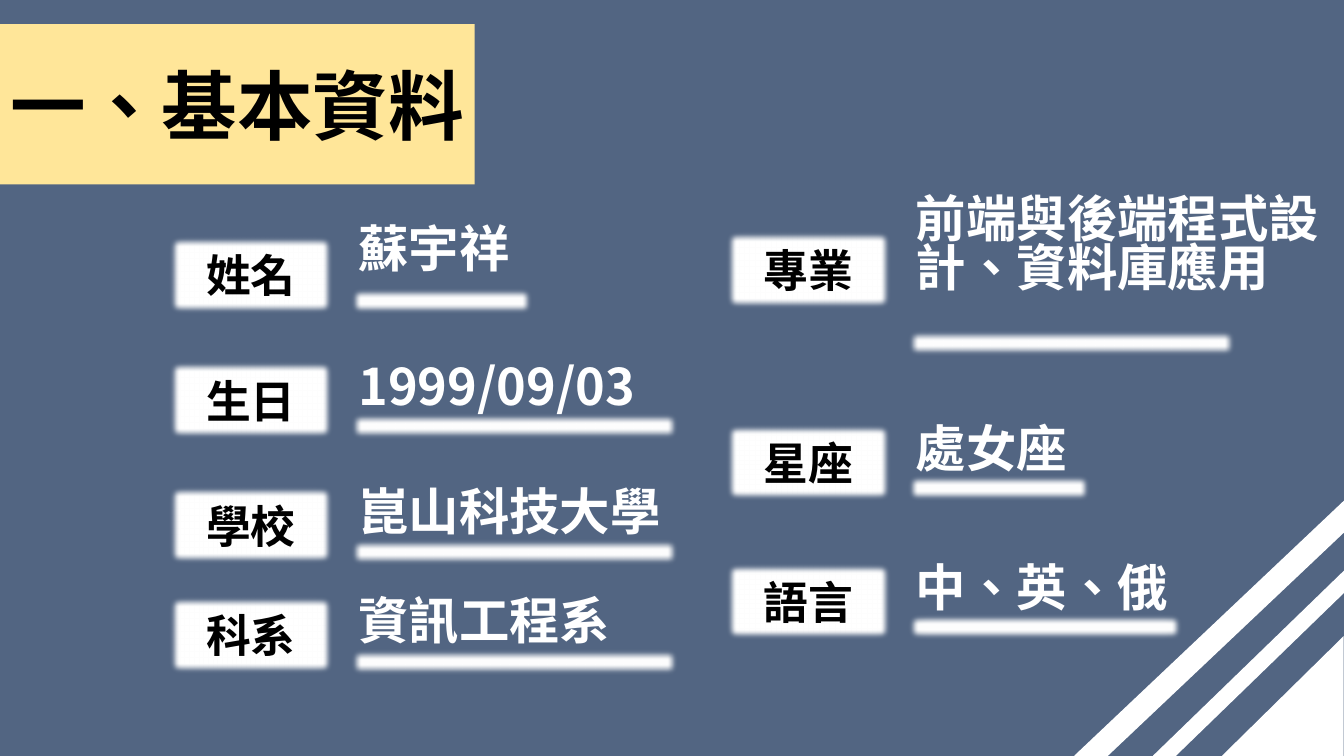
"""Build the basic profile slide with labelled, underlined entries."""
from dataclasses import dataclass

from lxml import etree
from pptx import Presentation
from pptx.dml.color import RGBColor
from pptx.enum.lang import MSO_LANGUAGE_ID
from pptx.enum.shapes import MSO_SHAPE
from pptx.enum.text import MSO_ANCHOR, PP_ALIGN
from pptx.oxml.ns import qn
from pptx.util import Pt

RECT, TRIANGLE = MSO_SHAPE.RECTANGLE, MSO_SHAPE.RIGHT_TRIANGLE
LEFT, CENTER = PP_ALIGN.LEFT, PP_ALIGN.CENTER
TOP, MIDDLE = MSO_ANCHOR.TOP, MSO_ANCHOR.MIDDLE
CHINESE = MSO_LANGUAGE_ID.TRADITIONAL_CHINESE

TITLE = "一、基本資料"
# label, value, label top, value box (top, width, height), line (top, width), spacing
COLUMNS = [
    {"left": 118.8, "entries": [
        ("姓名", "蘇宇祥", 167, (156.2, 127.4, 47.5), (203.8, 133.2), 0.9),
        ("生日", "1999/09/03", 256.3, (245.5, 267.8, 47.5), (293, 236.9), 1.1),
        ("學校", "崑山科技大學", 345.6, (334.8, 267.8, 47.5), (383, 236.9), 1.1),
        ("科系", "資訊工程系", 424.1, (413.3, 267.8, 47.5), (461.5, 236.9), 1.1),
    ]},
    {"left": 517, "entries": [
        ("專業", "前端與後端程式設計、資料庫應用", 163.4, (137.5, 307.4, 89.3), (234, 236.9), 0.82),
        ("星座", "處女座", 301, (290.2, 128.9, 47.5), (337.7, 133.2), 1.1),
        ("語言", "中、英、俄", 400.3, (389.5, 209.5, 47.5), (437, 198.7), 1.1),
    ]},
]
STRIPES = [
    (RECT, (799.2, 468, 201.6, 11.5), 315.9),
    (RECT, (736.6, 445.7, 267.1, 16.6), 316.6),
    (TRIANGLE, (873.4, 453.6, 85.7, 87.1), 270),
]
BANNER = (0, 17.3, 339.1, 114.5)
LABEL_SIZE = (121, 59)
VALUE_OFFSET, LINE_HEIGHT, SOFT_RADIUS = 130.1, 22.3, 5


@dataclass(frozen=True)
class Theme:
    """Colours, fonts and type sizes."""
    back: RGBColor = RGBColor(0x52, 0x65, 0x82)
    banner: RGBColor = RGBColor(0xFF, 0xE6, 0x99)
    light: RGBColor = RGBColor(0xFF, 0xFF, 0xFF)
    dark: RGBColor = RGBColor(0, 0, 0)
    title_font: str = "Calibri"
    font: str = "Noto Sans CJK SC"
    title: int = 54
    label: int = 32
    value: int = 36


THEME = Theme()


def write(sp, text, *, size, color, font=THEME.font, align=LEFT, anchor=TOP, spacing=1.0):
    """Put one bold run of formatted text in a shape."""
    tf = sp.text_frame
    tf.word_wrap = True
    tf.vertical_anchor = anchor
    p = tf.paragraphs[0]
    p.alignment = align
    p.line_spacing = spacing
    r = p.add_run()
    r.text = text
    r.font.name, r.font.size, r.font.bold = font, Pt(size), True
    r.font.color.rgb = color
    r.font.language_id = CHINESE
    r.font._element.find(qn("a:latin")).addnext(
        etree.Element(qn("a:ea"), typeface=THEME.font))


def add_block(s, kind, box, rotation=0, soft=False):
    """Add a plain light shape, optionally with soft edges."""
    sp = s.shapes.add_shape(kind, *map(Pt, box))
    sp.rotation = rotation
    sp.fill.solid()
    sp.fill.fore_color.rgb = THEME.light
    sp.line.fill.background()
    sp.shadow.inherit = False
    if soft:
        effects = sp._element.spPr.find(qn("a:effectLst"))
        etree.SubElement(effects, qn("a:softEdge"), rad=str(Pt(SOFT_RADIUS)))
    return sp


def add_title(s):
    """Place the title banner."""
    sp = s.shapes.title
    sp.left, sp.top, sp.width, sp.height = map(Pt, BANNER)
    sp.fill.solid()
    sp.fill.fore_color.rgb = THEME.banner
    write(sp, TITLE, size=THEME.title, color=THEME.dark, font=THEME.title_font,
          align=CENTER, anchor=MIDDLE)


def add_entry(s, left, entry):
    """Add a label, its underline and its value."""
    label, value, top, (value_top, width, height), (line_top, line_width), spacing = entry
    sp = add_block(s, RECT, (left, top, *LABEL_SIZE), soft=True)
    write(sp, label, size=THEME.label, color=THEME.dark, align=CENTER, anchor=MIDDLE)
    value_left = left + VALUE_OFFSET
    add_block(s, RECT, (value_left, line_top, line_width, LINE_HEIGHT), soft=True)
    sp = s.shapes.add_textbox(*map(Pt, (value_left, value_top, width, height)))
    write(sp, value, size=THEME.value, color=THEME.light, spacing=spacing)


def main():
    """Build and save the slide."""
    prs = Presentation()
    prs.slide_width, prs.slide_height = Pt(960), Pt(540)
    s = prs.slides.add_slide(prs.slide_layouts[5])
    s.background.fill.solid()
    s.background.fill.fore_color.rgb = THEME.back
    add_title(s)
    for kind, box, rotation in STRIPES:
        add_block(s, kind, box, rotation)
    for column in COLUMNS:
        for entry in column["entries"]:
            add_entry(s, column["left"], entry)
    prs.save("out.pptx")


if __name__ == "__main__":
    main()
